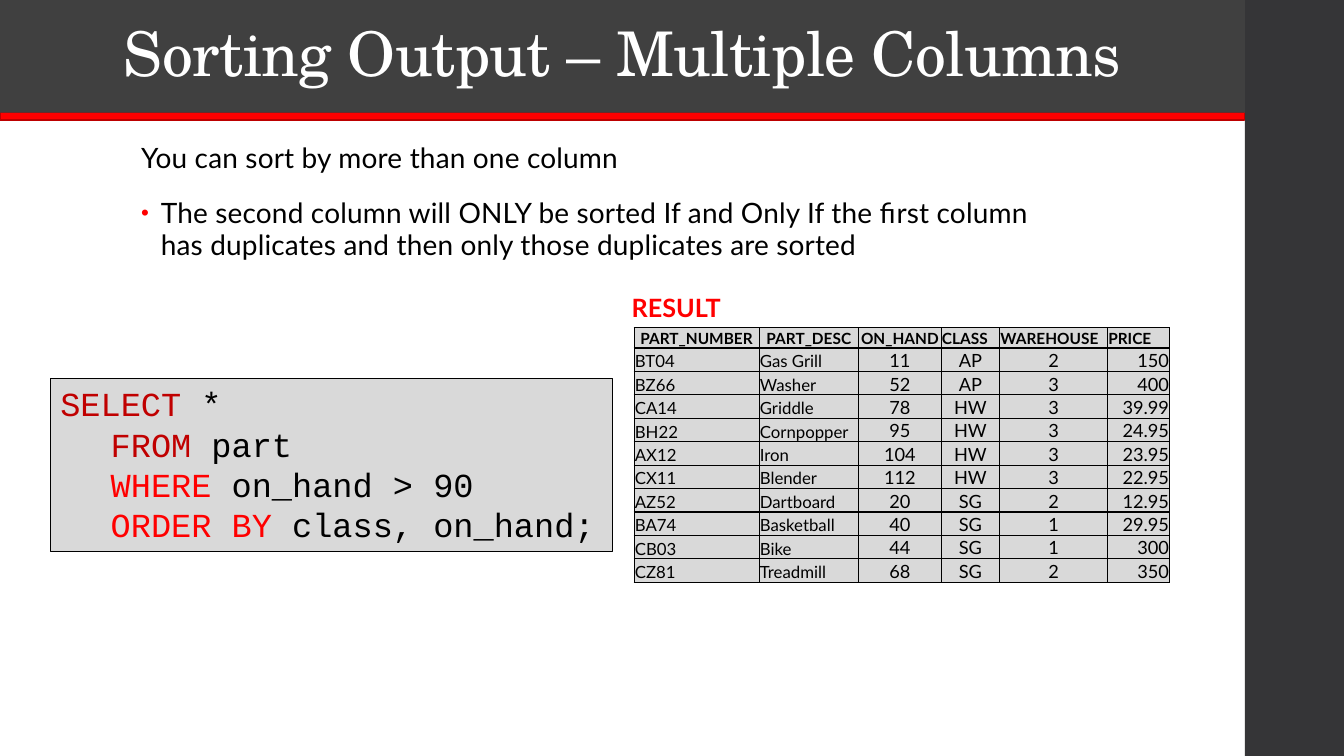
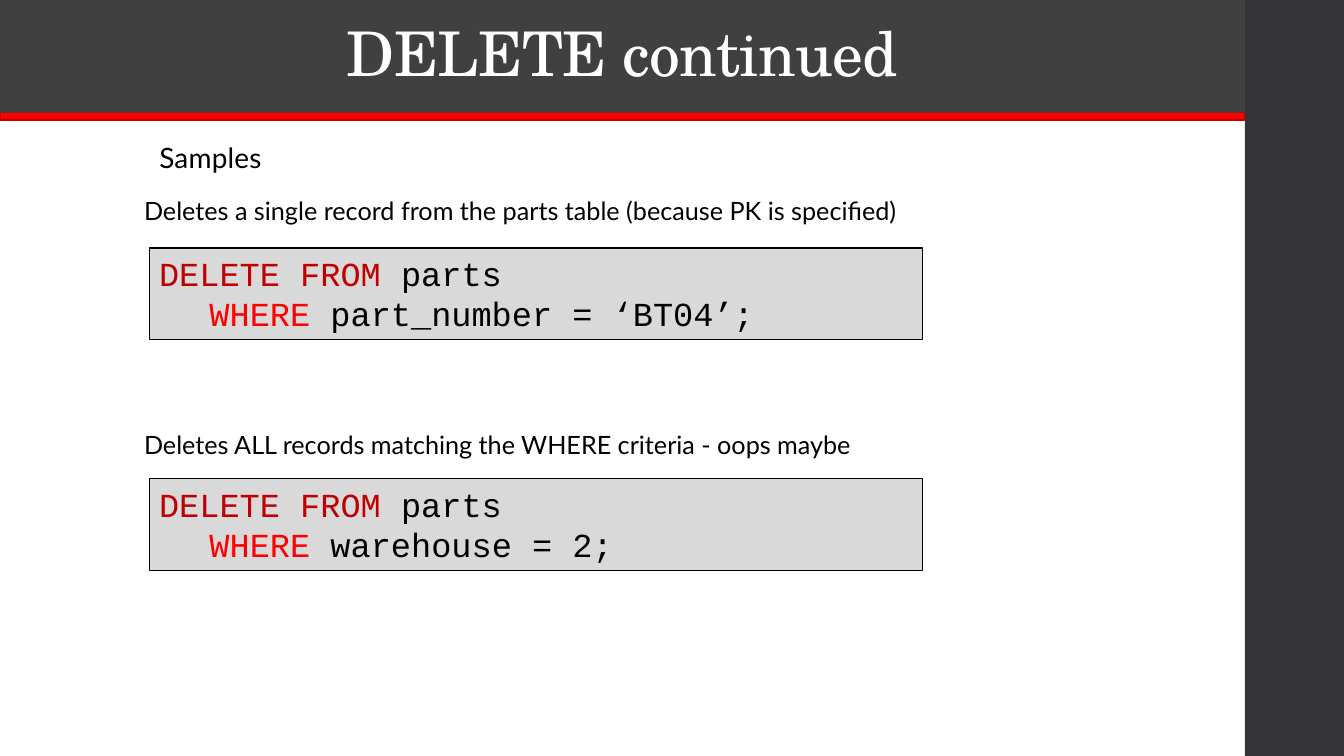
from dataclasses import dataclass

from lxml import etree
from pptx import Presentation
from pptx.dml.color import RGBColor
from pptx.enum import shapes, text
from pptx.oxml.ns import qn
from pptx.util import Cm, Pt


# Colours, fonts and type sizes
@dataclass(frozen=True)
class Theme:
    white: str = "FFFFFF"
    black: str = "000000"
    charcoal: str = "404040"
    side: str = "353537"
    red: str = "FF0000"
    dark_red: str = "C00000"
    rule_edge: str = "BD0000"
    panel: str = "D9D9D9"
    title_font: str = "TeX Gyre Schola"
    body_font: str = "Lato"
    code_font: str = "Courier New"
    title_size: int = 44
    body_size: int = 20
    label_size: int = 18
    code_size: int = 24
    header_size: int = 11
    name_size: int = 12
    value_size: int = 13


THEME = Theme()
LEFT, CENTER, RIGHT = (text.PP_ALIGN.LEFT, text.PP_ALIGN.CENTER, text.PP_ALIGN.RIGHT)
SLIDE_WIDTH, SLIDE_HEIGHT = 33.87, 19.05
MAIN_WIDTH, TITLE_HEIGHT = 31.37, 2.84


class Deck:
    """Holds the style and the current slide."""

    def __init__(self, theme):
        self.theme = theme
        self.presentation = Presentation()
        self.presentation.slide_width = Cm(SLIDE_WIDTH)
        self.presentation.slide_height = Cm(SLIDE_HEIGHT)
        self.layout = self.presentation.slide_layouts[1]
        self.slide = None

    def add_slide(self, title):
        first = self.slide is None
        self.slide = self.presentation.slides.add_slide(self.layout)
        if first:
            self.frame()
        self.title(title)

    def frame(self):
        """Side band and red rule, kept in the layout for every slide."""
        theme = self.theme
        side = self.box(MAIN_WIDTH, 0, SLIDE_WIDTH - MAIN_WIDTH, SLIDE_HEIGHT, theme.side)
        rule = self.box(0, TITLE_HEIGHT, MAIN_WIDTH, 0.18, theme.red, theme.rule_edge, 1.1)
        for index, band in enumerate((side, rule), start=2):
            self.layout.shapes.element.insert(index, band.element)

    # Helpers
    def place(self, shape, left, top, width, height):
        shape.left, shape.top = Cm(left), Cm(top)
        shape.width, shape.height = Cm(width), Cm(height)

    def paint(self, fill, color):
        fill.solid()
        fill.fore_color.rgb = RGBColor.from_string(color)

    def run(self, paragraph, words, font, size, color, bold=False, spacing=None):
        run = paragraph.add_run()
        run.text = words
        run.font.name, run.font.size, run.font.bold = font, Pt(size), bold
        run.font.color.rgb = RGBColor.from_string(color)
        if spacing is not None:
            run._r.get_or_add_rPr().set("spc", str(spacing))

    def paragraphs(self, frame, count):
        return [frame.paragraphs[0]] + [frame.add_paragraph() for _ in range(count - 1)]

    def indent(self, paragraph, margin, first_line=0.0):
        properties = paragraph._p.get_or_add_pPr()
        properties.set("marL", str(Cm(margin)))
        properties.set("indent", str(Cm(first_line)))
        return properties

    # Elements
    def box(self, left, top, width, height, fill, line=None, line_width=0.75):
        shape = self.slide.shapes.add_shape(
            shapes.MSO_SHAPE.RECTANGLE, Cm(left), Cm(top), Cm(width), Cm(height))
        shape.shadow.inherit = False
        self.paint(shape.fill, fill)
        if line:
            self.paint(shape.line.fill, line)
            shape.line.width = Pt(line_width)
        else:
            shape.line.fill.background()
        return shape

    def title(self, words):
        theme, shape = self.theme, self.slide.shapes.title
        self.place(shape, 0, 0, MAIN_WIDTH, TITLE_HEIGHT)
        self.paint(shape.fill, theme.charcoal)
        frame = shape.text_frame
        frame.auto_size = text.MSO_AUTO_SIZE.NONE
        frame.vertical_anchor = text.MSO_ANCHOR.MIDDLE
        paragraph = frame.paragraphs[0]
        paragraph.alignment, paragraph.line_spacing = CENTER, 0.9
        self.run(paragraph, words, theme.title_font, theme.title_size, theme.white, spacing=-50)

    def body(self, left, top, width, height, items):
        """Items are pairs of words and whether they carry a bullet."""
        theme, shape = self.theme, self.slide.placeholders[1]
        self.place(shape, left, top, width, height)
        frame = shape.text_frame
        frame.auto_size = text.MSO_AUTO_SIZE.NONE
        for paragraph, (words, bulleted) in zip(self.paragraphs(frame, len(items)), items):
            paragraph.line_spacing = 0.95
            paragraph.space_before, paragraph.space_after = Pt(14), Pt(2)
            if bulleted:
                properties = self.indent(paragraph, 0.5, -0.5)
                color = etree.SubElement(properties, qn("a:buClr"))
                etree.SubElement(color, qn("a:srgbClr"), val=theme.red)
                etree.SubElement(properties, qn("a:buSzPct"), val="80000")
                etree.SubElement(properties, qn("a:buChar"), char="•")
            else:
                etree.SubElement(self.indent(paragraph, 0), qn("a:buNone"))
            self.run(paragraph, words, theme.body_font, theme.body_size, theme.black, spacing=10)

    def label(self, left, top, width, words, color, bold=False):
        shape = self.slide.shapes.add_textbox(Cm(left), Cm(top), Cm(width), Cm(1.02))
        frame = shape.text_frame
        frame.word_wrap = True
        frame.auto_size = text.MSO_AUTO_SIZE.SHAPE_TO_FIT_TEXT
        self.run(frame.paragraphs[0], words, self.theme.body_font, self.theme.label_size,
                 color, bold)

    def code(self, left, top, width, height, lines):
        """Lines are keyword, keyword colour and the rest; all but the first are indented."""
        theme = self.theme
        frame = self.box(left, top, width, height, theme.panel, theme.black).text_frame
        frame.word_wrap = True
        frame.auto_size = text.MSO_AUTO_SIZE.SHAPE_TO_FIT_TEXT
        frame.vertical_anchor = text.MSO_ANCHOR.TOP
        for number, paragraph in enumerate(self.paragraphs(frame, len(lines))):
            keyword, color, rest = lines[number]
            paragraph.alignment = LEFT
            self.indent(paragraph, 1.27 if number else 0)
            self.run(paragraph, keyword, theme.code_font, theme.code_size, color)
            self.run(paragraph, rest, theme.code_font, theme.code_size, theme.black)

    def cell(self, cell, words, size, alignment, bold):
        theme = self.theme
        cell.margin_left = cell.margin_right = cell.margin_top = Cm(0.02)
        cell.margin_bottom = 0
        cell.vertical_anchor = text.MSO_ANCHOR.BOTTOM
        properties = cell._tc.get_or_add_tcPr()
        for side in ("a:lnL", "a:lnR", "a:lnT", "a:lnB"):
            border = etree.SubElement(properties, qn(side), w=str(Pt(1)))
            fill = etree.SubElement(border, qn("a:solidFill"))
            etree.SubElement(fill, qn("a:srgbClr"), val=theme.black)
        self.paint(cell.fill, theme.panel)
        paragraph = cell.text_frame.paragraphs[0]
        paragraph.alignment = alignment
        self.run(paragraph, words, theme.body_font, size, theme.black, bold)

    def table(self, left, top, widths, header_height, row_height, header, rows):
        theme = self.theme
        heights = [header_height] + [row_height] * len(rows)
        table = self.slide.shapes.add_table(
            len(heights), len(widths), Cm(left), Cm(top),
            Cm(sum(widths)), Cm(sum(heights))).table
        table.horz_banding = False
        for column, width in zip(table.columns, widths):
            column.width = Cm(width)
        for row, height in zip(table.rows, heights):
            row.height = Cm(height)
        header_alignments = [CENTER] * 3 + [LEFT] * 3
        row_alignments = [LEFT] * 2 + [CENTER] * 3 + [RIGHT]
        row_sizes = [theme.name_size] * 2 + [theme.value_size] * 4
        for column, words in enumerate(header):
            self.cell(table.cell(0, column), words, theme.header_size,
                      header_alignments[column], True)
        for number, values in enumerate(rows, start=1):
            for column, words in enumerate(values):
                self.cell(table.cell(number, column), words, row_sizes[column],
                          row_alignments[column], False)


deck = Deck(THEME)

# Slide 1: sorting by several columns
deck.add_slide("Sorting Output – Multiple Columns")
deck.body(3.3, 3.48, 23.88, 3.45, [
    ("You can sort by more than one column", False),
    ("The second column will ONLY be sorted If and Only If the first column has "
     "duplicates and then only those duplicates are sorted", True),
])
deck.code(1.27, 9.53, 14.17, 4.37, [
    ("SELECT", THEME.dark_red, " *"),
    ("FROM", THEME.dark_red, " part"),
    ("WHERE ", THEME.red, "on_hand > 90"),
    ("ORDER BY ", THEME.red, "class, on_hand;"),
])
PARTS = [
    ("BT04", "Gas Grill", "11", "AP", "2", "150"),
    ("BZ66", "Washer", "52", "AP", "3", "400"),
    ("CA14", "Griddle", "78", "HW", "3", "39.99"),
    ("BH22", "Cornpopper", "95", "HW", "3", "24.95"),
    ("AX12", "Iron", "104", "HW", "3", "23.95"),
    ("CX11", "Blender", "112", "HW", "3", "22.95"),
    ("AZ52", "Dartboard", "20", "SG", "2", "12.95"),
    ("BA74", "Basketball", "40", "SG", "1", "29.95"),
    ("CB03", "Bike", "44", "SG", "1", "300"),
    ("CZ81", "Treadmill", "68", "SG", "2", "350"),
]
deck.table(15.98, 8.26, [3.15, 2.51, 2.08, 1.47, 2.72, 1.57], 0.51, 0.59,
           ("PART_NUMBER", "PART_DESC", "ON_HAND", "CLASS", "WAREHOUSE", "PRICE"), PARTS)
deck.label(15.67, 7.24, 3.28, "RESULT", THEME.red, bold=True)

# Slide 2: deleting records
deck.add_slide("DELETE continued")
deck.body(3.76, 3.48, 23.88, 1.65, [("Samples", False)])
SAMPLES = [
    (6.25, "WHERE ", "part_number = ‘BT04’;"),
    (12.07, "WHERE", " warehouse = 2;"),
]
for top, keyword, condition in SAMPLES:
    deck.code(3.76, top, 19.48, 2.31, [
        ("DELETE FROM ", THEME.dark_red, "parts"),
        (keyword, THEME.red, condition),
    ])
deck.label(3.38, 4.8, 21.87,
           "Deletes a single record from the parts table (because PK is specified)", THEME.black)
deck.label(3.38, 10.69, 26.75,
           "Deletes ALL records matching the WHERE criteria - oops maybe", THEME.black)

deck.presentation.save("out.pptx")
